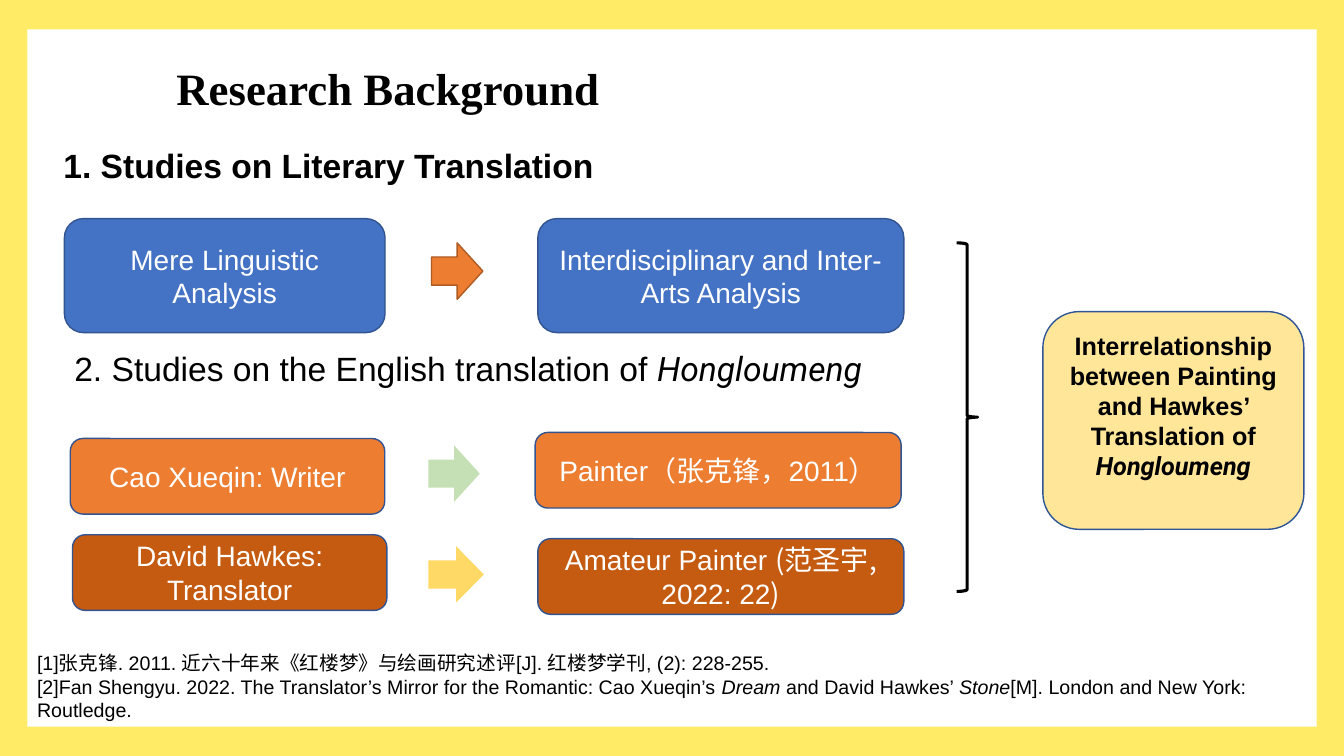
from lxml import etree
from pptx import Presentation
from pptx.dml.color import RGBColor
from pptx.enum.shapes import MSO_SHAPE
from pptx.enum.text import MSO_ANCHOR, PP_ALIGN
from pptx.oxml.ns import qn
from pptx.util import Pt

CJK = "Noto Sans CJK SC"


def color(hex_string):
    return RGBColor.from_string(hex_string)


def write(sp, paragraphs, size, ink="000000", bold=False, align=PP_ALIGN.LEFT,
          anchor=MSO_ANCHOR.TOP, font="Arial"):
    """Each paragraph is a list of runs: (text, font or None, italic)."""
    tf = sp.text_frame
    tf.word_wrap = True
    tf.vertical_anchor = anchor
    for i, runs in enumerate(paragraphs):
        p = tf.paragraphs[0] if i == 0 else tf.add_paragraph()
        p.alignment = align
        p.font.name = font
        p.font.size = Pt(size)
        p.font.bold = bold
        p.font.color.rgb = color(ink)
        for text, run_font, italic in runs:
            r = p.add_run()
            r.text = text
            if run_font:
                r.font.name = run_font
            if italic:
                r.font.italic = True


prs = Presentation()
prs.slide_width, prs.slide_height = Pt(960), Pt(540)
s = prs.slides.add_slide(prs.slide_layouts[5])

# Yellow frame around a white panel
for x, y, w, h, fill in [(0, 0, 960, 540, "FFEB66"), (19.5, 21, 921, 498, "FFFFFF")]:
    sp = s.shapes.add_shape(MSO_SHAPE.RECTANGLE, Pt(x), Pt(y), Pt(w), Pt(h))
    sp.shadow.inherit = False
    sp.fill.solid()
    sp.fill.fore_color.rgb = color(fill)
    sp.line.fill.background()

# Title, brought in front of the frame
title = s.shapes.title
title.element.getparent().append(title.element)
title.left, title.top, title.width, title.height = Pt(118.8), Pt(39.6), Pt(610.6), Pt(46)
write(title, [[("Research Background", None, False)]], 32, bold=True, font="Times New Roman")

# Section headings and references
texts = [
    (38.2, 100, 406.8, 54, 24, True, [[("1. Studies on Literary Translation", None, False)]]),
    (46, 244.8, 610.6, 54, 24, False, [
        [("2. Studies on the English translation of ", None, False),
         ("Hongloumeng", "Roboto", True)]]),
    (19.4, 461.5, 920, 61, 14, False, [
        [("[1]张克锋. 2011. 近六十年来《红楼梦》与绘画研究述评[J]. 红楼梦学刊, (2): 228-255.",
          None, False)],
        [("[2]Fan Shengyu. 2022. The Translator’s Mirror for the Romantic: Cao Xueqin’s ",
          None, False),
         ("Dream", None, True), (" and David Hawkes’ ", None, False),
         ("Stone", None, True), ("[M]. London and New York: Routledge.", None, False)]]),
]
for x, y, w, h, size, bold, paragraphs in texts:
    sp = s.shapes.add_textbox(Pt(x), Pt(y), Pt(w), Pt(h))
    write(sp, paragraphs, size, bold=bold)

# Rounded boxes
boxes = [
    (46, 156.2, 229, 81.4, "4472C4", [("Mere Linguistic Analysis", None, False)]),
    (384.2, 156.2, 261.4, 81.4, "4472C4",
     [("Interdisciplinary and Inter-Arts Analysis", None, False)]),
    (50.2, 313.2, 224.6, 54, "ED7D31", [("Cao Xueqin: Writer", None, False)]),
    (382.3, 308.9, 261.4, 54, "ED7D31",
     [("Painter", None, False), ("（张克锋，", CJK, False),
      ("2011", None, False), ("）", CJK, False)]),
    (51.8, 382, 224.6, 54, "C55A11", [("David Hawkes: Translator", None, False)]),
    (384.2, 384.8, 261.4, 54, "C55A11",
     [("Amateur Painter ", None, False), ("(范圣宇, ", CJK, False),
      ("2022: 22", None, False), (")", CJK, False)]),
    (744.9, 222.6, 186.5, 155.5, "FFE699",
     [("Interrelationship between Painting and Hawkes’ Translation of ", None, False),
      ("Hongloumeng", "Roboto", True)]),
]
for x, y, w, h, fill, runs in boxes:
    sp = s.shapes.add_shape(MSO_SHAPE.ROUNDED_RECTANGLE, Pt(x), Pt(y), Pt(w), Pt(h))
    sp.shadow.inherit = False
    sp.fill.solid()
    sp.fill.fore_color.rgb = color(fill)
    sp.line.width = Pt(1)
    conclusion = fill == "FFE699"
    sp.line.color.rgb = color("2F5597" if conclusion else "325491")
    write(sp, [runs], 18 if conclusion else 20, "000000" if conclusion else "FFFFFF",
          conclusion, PP_ALIGN.CENTER, MSO_ANCHOR.MIDDLE)
    if conclusion:
        sp.text_frame.margin_bottom = Pt(25)

# Arrows between the boxes
arrows = [
    (308.2, 173.5, 36.7, "ED7D31", "AF5C24"),
    (306, 318.2, 36.7, "C5E0B4", None),
    (306, 390.2, 39.6, "FFD966", None),
]
for x, y, w, fill, line in arrows:
    sp = s.shapes.add_shape(MSO_SHAPE.RIGHT_ARROW, Pt(x), Pt(y), Pt(w), Pt(40.3))
    sp.shadow.inherit = False
    sp.fill.solid()
    sp.fill.fore_color.rgb = color(fill)
    if line:
        sp.line.width = Pt(1)
        sp.line.color.rgb = color(line)
    else:
        sp.line.fill.background()

# Brace leading to the conclusion
brace = s.shapes.add_shape(MSO_SHAPE.RIGHT_BRACE, Pt(683.3), Pt(173.5), Pt(15), Pt(249))
brace.shadow.inherit = False
brace.fill.background()
brace.line.width = Pt(2.25)
brace.line.color.rgb = color("000000")

# East Asian font beside every Latin one
for latin in list(s.element.iter(qn("a:latin"))):
    ea = etree.Element(qn("a:ea"))
    ea.set("typeface", CJK)
    latin.addnext(ea)

prs.save("out.pptx")
